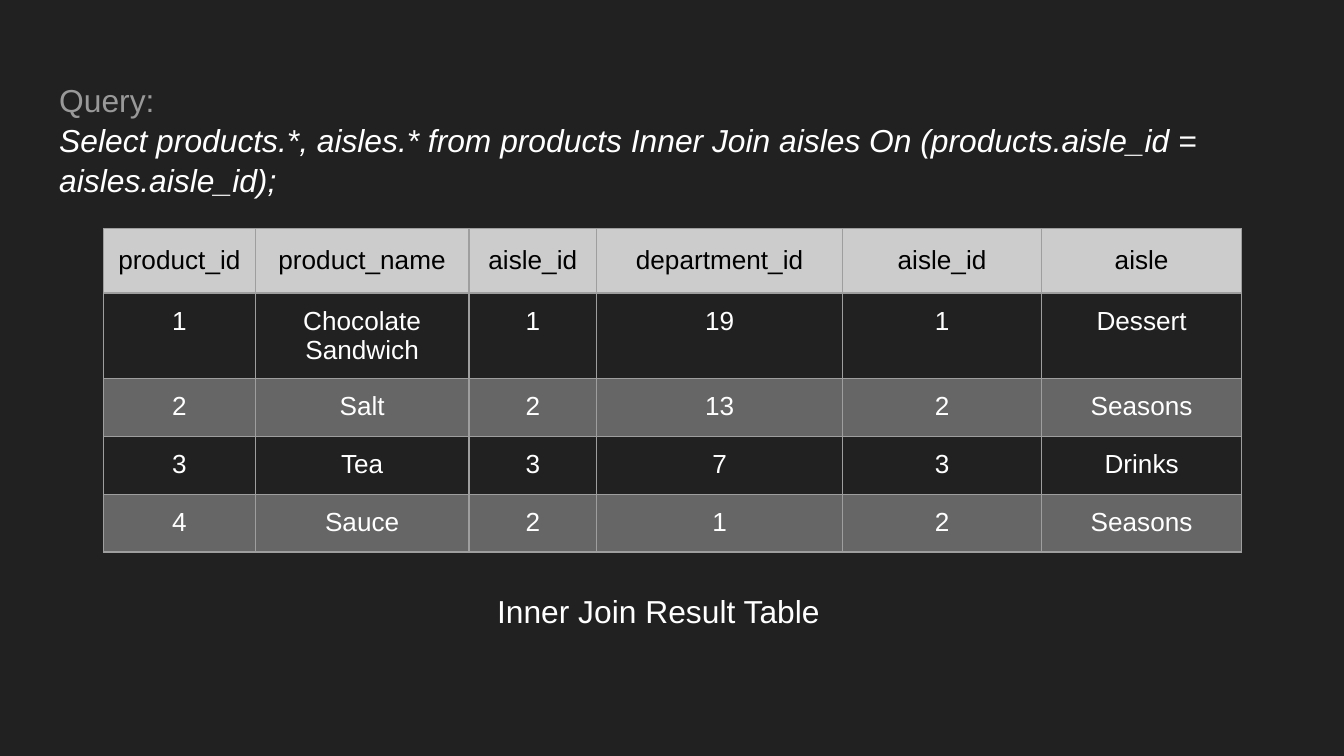
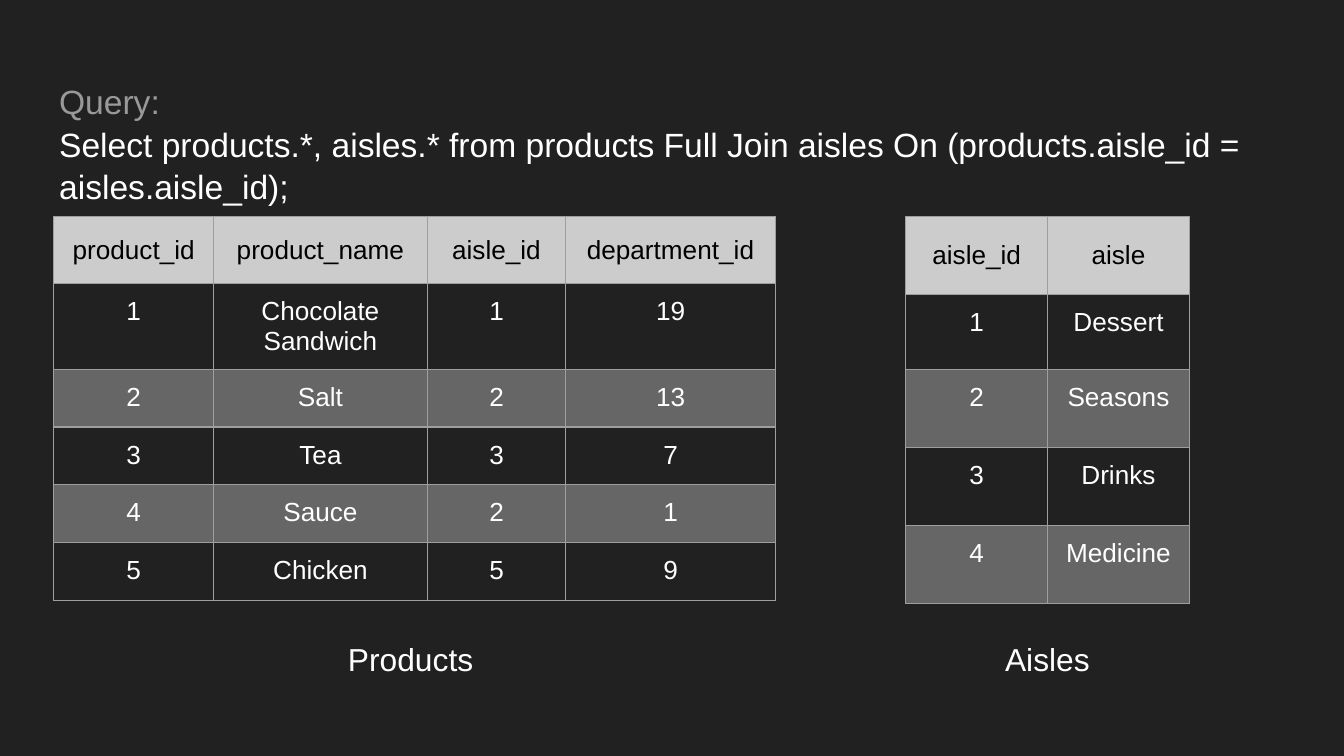
from dataclasses import dataclass

from lxml.etree import SubElement
from pptx import Presentation
from pptx.dml.color import RGBColor
from pptx.enum.text import MSO_ANCHOR, MSO_AUTO_SIZE, PP_ALIGN
from pptx.oxml.ns import qn
from pptx.util import Inches, Pt


# Shared look
@dataclass(frozen=True)
class Theme:
    background: RGBColor = RGBColor(0x21, 0x21, 0x21)
    band: RGBColor = RGBColor(0x66, 0x66, 0x66)
    header: RGBColor = RGBColor(0xCC, 0xCC, 0xCC)
    header_text: RGBColor = RGBColor(0x00, 0x00, 0x00)
    text: RGBColor = RGBColor(0xFF, 0xFF, 0xFF)
    muted: RGBColor = RGBColor(0x99, 0x99, 0x99)
    border: str = "9E9E9E"
    border_width: float = 0.75
    font: str = "Arial"
    cell_size: int = 14
    caption_size: int = 17
    title_line_spacing: float = 1.05


THEME = Theme()
SLIDE_WIDTH = Inches(10)
SLIDE_HEIGHT = SLIDE_WIDTH * 9 // 16
TITLE_ONLY = 5
PRODUCTS_HEADER = ["product_id", "product_name", "aisle_id", "department_id"]
PRODUCTS = [
    ["1", "Chocolate Sandwich", "1", "19"],
    ["2", "Salt", "2", "13"],
    ["3", "Tea", "3", "7"],
    ["4", "Sauce", "2", "1"],
    ["5", "Chicken", "5", "9"],
]
AISLES_HEADER = ["aisle_id", "aisle"]
AISLES = [["1", "Dessert"], ["2", "Seasons"], ["3", "Drinks"], ["4", "Medicine"]]


def grid(units):
    """Length of so many squares of a grid that is 100 squares wide."""
    return int(SLIDE_WIDTH * units / 100)


def add_run(paragraph, text, size, color, italic=False):
    run = paragraph.add_run()
    run.text = text
    run.font.name = THEME.font
    run.font.size = Pt(size)
    run.font.color.rgb = color
    run.font.italic = italic


def format_frame(frame):
    frame.word_wrap = True
    frame.auto_size = MSO_AUTO_SIZE.NONE
    frame.vertical_anchor = MSO_ANCHOR.TOP
    frame.margin_left = frame.margin_right = grid(1)
    frame.margin_top = frame.margin_bottom = grid(1)


# Slide title: a muted label above the query
def add_query_title(slide, query, size, italic=False):
    title = slide.shapes.title
    title.left, title.top = grid(3.4), grid(4.9)
    title.width, title.height = grid(93.2), grid(6.3)
    frame = title.text_frame
    format_frame(frame)
    lines = [("Query:", THEME.muted, False), (query, THEME.text, italic)]
    for index, (text, color, slanted) in enumerate(lines):
        paragraph = frame.add_paragraph() if index else frame.paragraphs[0]
        paragraph.alignment = PP_ALIGN.LEFT
        paragraph.line_spacing = THEME.title_line_spacing
        add_run(paragraph, text, size, color, slanted)


def add_caption(slide, text, left, top, width):
    caption = slide.shapes.add_textbox(grid(left), grid(top), grid(width), grid(6.3))
    format_frame(caption.text_frame)
    add_run(caption.text_frame.paragraphs[0], text, THEME.caption_size, THEME.text)


# Tables
def add_borders(cell):
    properties = cell._tc.get_or_add_tcPr()
    for side in ("a:lnL", "a:lnR", "a:lnT", "a:lnB"):
        line = SubElement(properties, qn(side), w=str(Pt(THEME.border_width)))
        fill = SubElement(line, qn("a:solidFill"))
        SubElement(fill, qn("a:srgbClr"), val=THEME.border)


def fill_cell(cell, text, row):
    is_header = row == 0
    add_borders(cell)
    cell.fill.solid()
    body_fill = THEME.background if row % 2 else THEME.band
    cell.fill.fore_color.rgb = THEME.header if is_header else body_fill
    cell.margin_left = cell.margin_right = grid(1)
    cell.margin_top = cell.margin_bottom = grid(1)
    cell.vertical_anchor = MSO_ANCHOR.MIDDLE if is_header else MSO_ANCHOR.TOP
    paragraph = cell.text_frame.paragraphs[0]
    paragraph.alignment = PP_ALIGN.CENTER
    color = THEME.header_text if is_header else THEME.text
    add_run(paragraph, text, THEME.cell_size, color)


def add_data_table(slide, header, records, left, top, widths, heights):
    rows = [header, *records]
    table = slide.shapes.add_table(
        len(rows), len(header), grid(left), grid(top),
        grid(sum(widths)), grid(sum(heights)),
    ).table
    table.first_row = table.horz_banding = False
    for column, width in zip(table.columns, widths):
        column.width = grid(width)
    for index, (row, height) in enumerate(zip(table.rows, heights)):
        row.height = grid(height)
        for cell, text in zip(row.cells, rows[index]):
            fill_cell(cell, text, index)


# Slides
def build_inner_join(slide):
    add_query_title(
        slide,
        "Select products.*, aisles.* from products Inner Join aisles "
        "On (products.aisle_id = aisles.aisle_id);",
        size=17, italic=True,
    )
    aisle_names = dict(AISLES)
    joined = [
        [*product, product[2], aisle_names[product[2]]]
        for product in PRODUCTS if product[2] in aisle_names
    ]
    add_data_table(
        slide, PRODUCTS_HEADER + AISLES_HEADER, joined, left=7.7, top=17,
        widths=[11.3, 15.9, 9.5, 18.3, 14.8, 14.9],
        heights=[4.8] + [4.3] * len(joined),
    )
    add_caption(slide, "Inner Join Result Table", left=36, top=43, width=32.2)


def build_full_join(slide):
    add_query_title(
        slide,
        "Select products.*, aisles.* from products Full Join aisles "
        "On (products.aisle_id = aisles.aisle_id);",
        size=18,
    )
    add_data_table(
        slide, PRODUCTS_HEADER, PRODUCTS, left=4, top=16.1,
        widths=[11.9, 15.9, 10.3, 15.6],
        heights=[5] + [4.3] * len(PRODUCTS),
    )
    add_data_table(
        slide, AISLES_HEADER, AISLES, left=67.4, top=16.1,
        widths=[10.55] * 2, heights=[5.8, 5.6, 5.8, 5.8, 5.8],
    )
    add_caption(slide, "Products", left=24.9, top=46.6, width=11.8)
    add_caption(slide, "Aisles", left=73.8, top=46.6, width=8.5)


def main():
    presentation = Presentation()
    presentation.slide_width = SLIDE_WIDTH
    presentation.slide_height = SLIDE_HEIGHT
    background = presentation.slide_master.background.fill
    background.solid()
    background.fore_color.rgb = THEME.background
    layout = presentation.slide_layouts[TITLE_ONLY]
    for build in (build_inner_join, build_full_join):
        build(presentation.slides.add_slide(layout))
    presentation.save("out.pptx")


if __name__ == "__main__":
    main()
